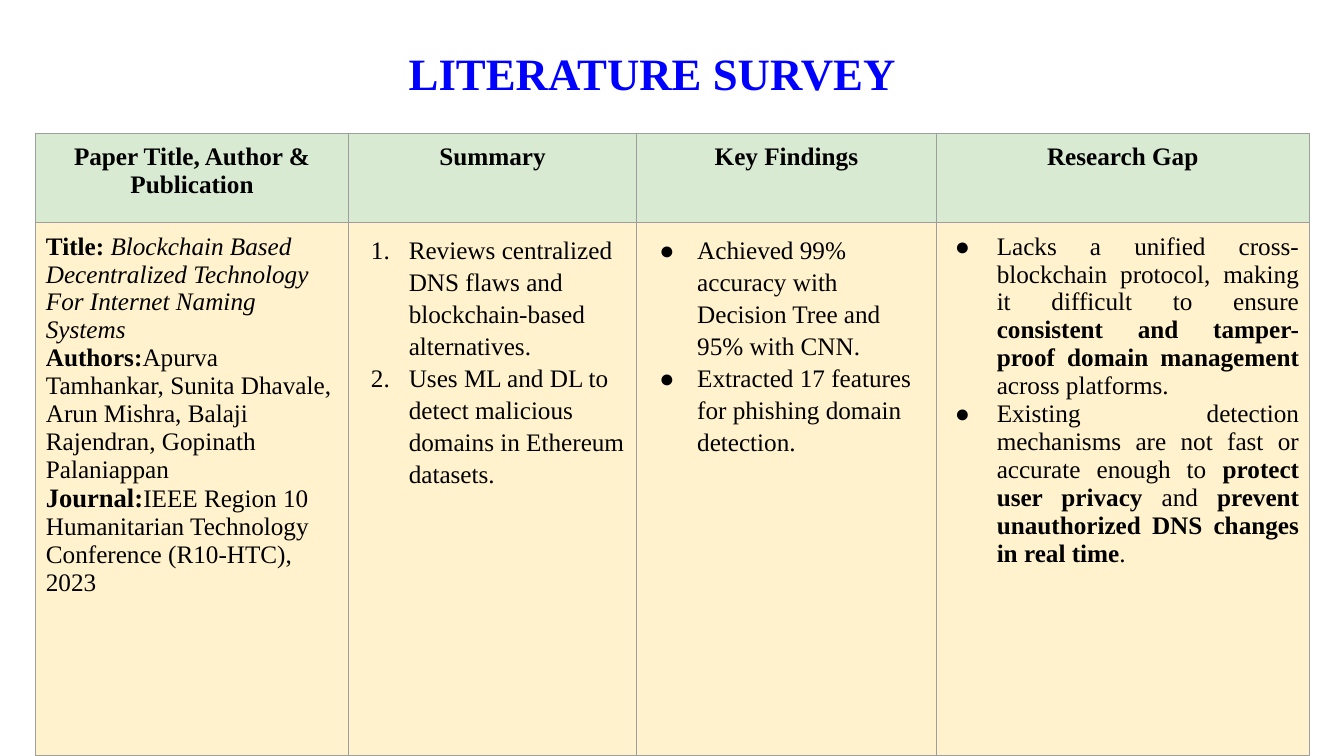
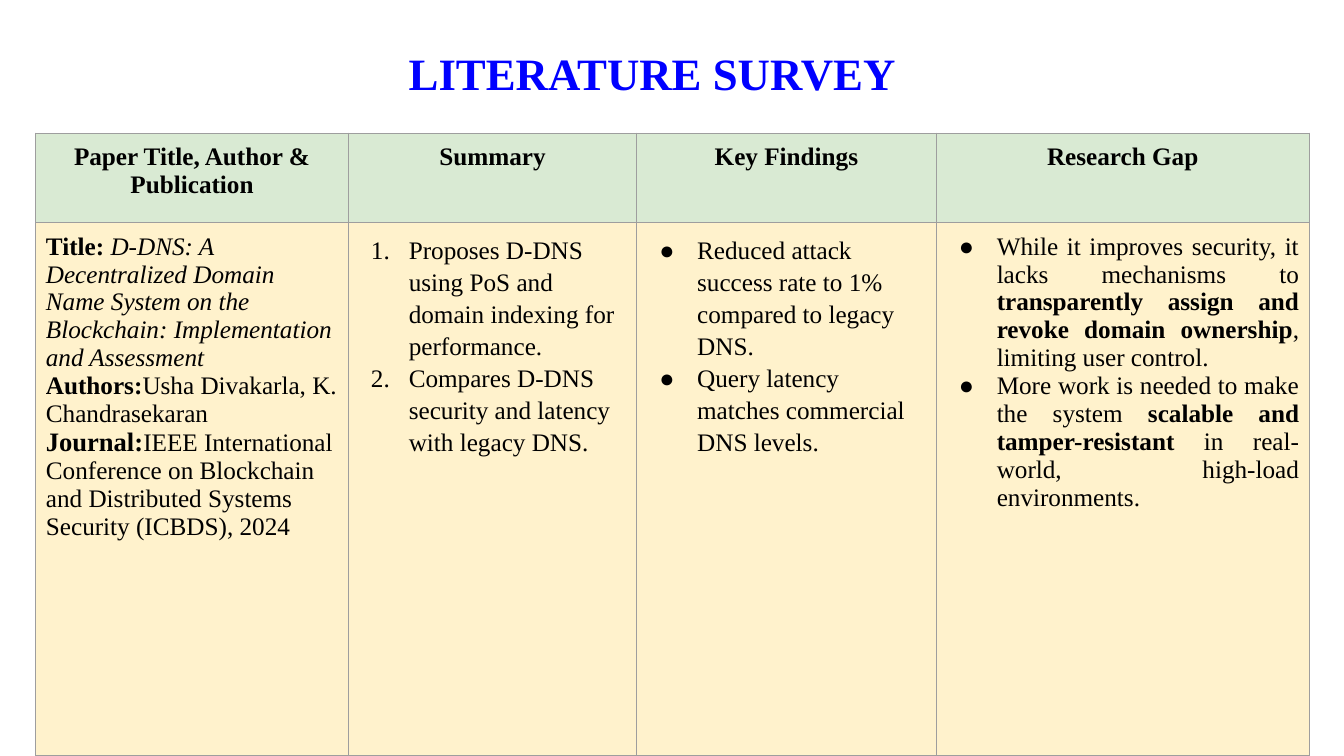
"""Build two literature survey slides, each with a title and a paper review table."""
from lxml import etree
from pptx import Presentation
from pptx.dml.color import RGBColor
from pptx.enum.text import MSO_ANCHOR, MSO_AUTO_SIZE, PP_ALIGN
from pptx.oxml.ns import qn
from pptx.util import Pt

CENTER, LEFT, JUSTIFY = PP_ALIGN.CENTER, PP_ALIGN.LEFT, PP_ALIGN.JUSTIFY
MIDDLE, NO_AUTOFIT = MSO_ANCHOR.MIDDLE, MSO_AUTO_SIZE.NONE

BLUE = RGBColor(0x00, 0x00, 0xFF)
BLACK = RGBColor(0x00, 0x00, 0x00)
GREEN = RGBColor(0xD9, 0xEA, 0xD3)
CREAM = RGBColor(0xFF, 0xF2, 0xCC)
GREY = RGBColor(0x9E, 0x9E, 0x9E)
FONT = "Times New Roman"
TITLE_SIZE, BODY_SIZE, JOURNAL_SIZE = 32, 18, 19

TITLE = "LITERATURE SURVEY"
HEADERS = ["Paper Title, Author & Publication", "Summary", "Key Findings", "Research Gap"]
COL_WIDTHS = [223.2, 206, 214, 266.4]
ROW_HEIGHTS = [64, 381]
TABLE_LEFT, TABLE_TOP = 25.6, 95
LIST_INDENT, LIST_HANG = 36, 27

PAPERS = [
    {
        "title": "Blockchain Based Decentralized Technology For Internet Naming Systems",
        "authors": "Apurva Tamhankar, Sunita Dhavale, Arun Mishra, Balaji Rajendran, "
                   "Gopinath Palaniappan",
        "journal": "IEEE Region 10 Humanitarian Technology Conference (R10-HTC), 2023",
        "summary": [
            "Reviews centralized DNS flaws and blockchain-based alternatives.",
            "Uses ML and DL to detect malicious domains in Ethereum datasets.",
        ],
        "findings": [
            "Achieved 99% accuracy with Decision Tree and 95% with CNN.",
            "Extracted 17 features for phishing domain detection.",
        ],
        "gaps": [
            "Lacks a unified cross-blockchain protocol, making it difficult to ensure "
            "**consistent and tamper-proof domain management** across platforms.",
            "Existing detection mechanisms are not fast or accurate enough to "
            "**protect user privacy** and "
            "**prevent unauthorized DNS changes in real time**.",
        ],
        "gap_hang": 30,
    },
    {
        "title": "D-DNS: A Decentralized Domain Name System on the Blockchain: "
                 "Implementation and Assessment",
        "authors": "Usha Divakarla, K. Chandrasekaran",
        "journal": "IEEE International Conference on Blockchain and Distributed Systems "
                   "Security (ICBDS), 2024",
        "summary": [
            "Proposes D-DNS using PoS and domain indexing for performance.",
            "Compares D-DNS security and latency with legacy DNS.",
        ],
        "findings": [
            "Reduced attack success rate to 1% compared to legacy DNS.",
            "Query latency matches commercial DNS levels.",
        ],
        "gaps": [
            "While it improves security, it lacks mechanisms to "
            "**transparently assign and revoke domain ownership**, limiting user control.",
            "More work is needed to make the system "
            "**scalable and tamper-resistant** in real-world, high-load environments.",
        ],
        "gap_hang": LIST_HANG,
    },
]


def add_run(p, text, size=BODY_SIZE, color=BLACK, bold=False, italic=False):
    r = p.add_run()
    r.text = text
    r.font.name, r.font.size = FONT, Pt(size)
    r.font.bold, r.font.italic = bold, italic
    r.font.color.rgb = color


def add_color(parent, color):
    etree.SubElement(parent, qn("a:srgbClr"), val=str(color))


def next_paragraph(tf, index):
    return tf.paragraphs[0] if index == 0 else tf.add_paragraph()


def style_cell(cell, fill):
    cell.margin_left = cell.margin_right = Pt(7.2)
    cell.margin_top = cell.margin_bottom = Pt(7.2)
    tc_pr = cell._tc.get_or_add_tcPr()
    for side in ("lnL", "lnR", "lnT", "lnB"):
        line = etree.SubElement(tc_pr, qn(f"a:{side}"), w=str(Pt(0.75)))
        add_color(etree.SubElement(line, qn("a:solidFill")), GREY)
    cell.fill.solid()
    cell.fill.fore_color.rgb = fill


def set_bullet(p, hang, numbered):
    p_pr = p._p.get_or_add_pPr()
    p_pr.set("marL", str(Pt(LIST_INDENT)))
    p_pr.set("indent", str(Pt(-hang)))
    add_color(etree.SubElement(p_pr, qn("a:buClr")), BLACK)
    etree.SubElement(p_pr, qn("a:buFont"), typeface=FONT)
    if numbered:
        etree.SubElement(p_pr, qn("a:buAutoNum"), type="arabicPeriod")
    else:
        etree.SubElement(p_pr, qn("a:buChar"), char="●")


def fill_list(cell, items, hang=LIST_HANG, numbered=False, align=LEFT, spacing=None):
    for i, item in enumerate(items):
        p = next_paragraph(cell.text_frame, i)
        set_bullet(p, hang, numbered)
        p.alignment = align
        p.line_spacing = spacing
        for j, part in enumerate(item.split("**")):
            add_run(p, part, bold=j % 2 == 1)


def fill_paper(cell, paper):
    rows = [
        ("Title: ", paper["title"], BODY_SIZE, True),
        ("Authors:", paper["authors"], BODY_SIZE, False),
        ("Journal:", paper["journal"], JOURNAL_SIZE, False),
    ]
    for i, (label, text, size, italic) in enumerate(rows):
        p = next_paragraph(cell.text_frame, i)
        add_run(p, label, size=size, bold=True)
        add_run(p, text, italic=italic)


def add_title(s):
    title = s.shapes.title
    title.left, title.top, title.width, title.height = Pt(203), Pt(29), Pt(526), Pt(46)
    tf = title.text_frame
    tf.auto_size, tf.vertical_anchor, tf.word_wrap = NO_AUTOFIT, MIDDLE, True
    p = tf.paragraphs[0]
    p.alignment = CENTER
    add_run(p, TITLE, TITLE_SIZE, BLUE, bold=True)


def add_survey_table(s, paper):
    table = s.shapes.add_table(
        len(ROW_HEIGHTS), len(COL_WIDTHS), Pt(TABLE_LEFT), Pt(TABLE_TOP),
        Pt(sum(COL_WIDTHS)), Pt(sum(ROW_HEIGHTS))).table
    table.first_row = table.horz_banding = False
    for row, height in zip(table.rows, ROW_HEIGHTS):
        row.height = Pt(height)
    for i, (width, header) in enumerate(zip(COL_WIDTHS, HEADERS)):
        table.columns[i].width = Pt(width)
        style_cell(table.cell(0, i), GREEN)
        style_cell(table.cell(1, i), CREAM)
        p = table.cell(0, i).text_frame.paragraphs[0]
        p.alignment = CENTER
        add_run(p, header, bold=True)
    fill_paper(table.cell(1, 0), paper)
    fill_list(table.cell(1, 1), paper["summary"], numbered=True, spacing=1.15)
    fill_list(table.cell(1, 2), paper["findings"], spacing=1.15)
    fill_list(table.cell(1, 3), paper["gaps"], hang=paper["gap_hang"], align=JUSTIFY)


def main():
    prs = Presentation()
    prs.slide_width, prs.slide_height = Pt(960), Pt(540)
    for paper in PAPERS:
        s = prs.slides.add_slide(prs.slide_layouts[5])
        add_title(s)
        add_survey_table(s, paper)
    prs.save("out.pptx")


if __name__ == "__main__":
    main()
